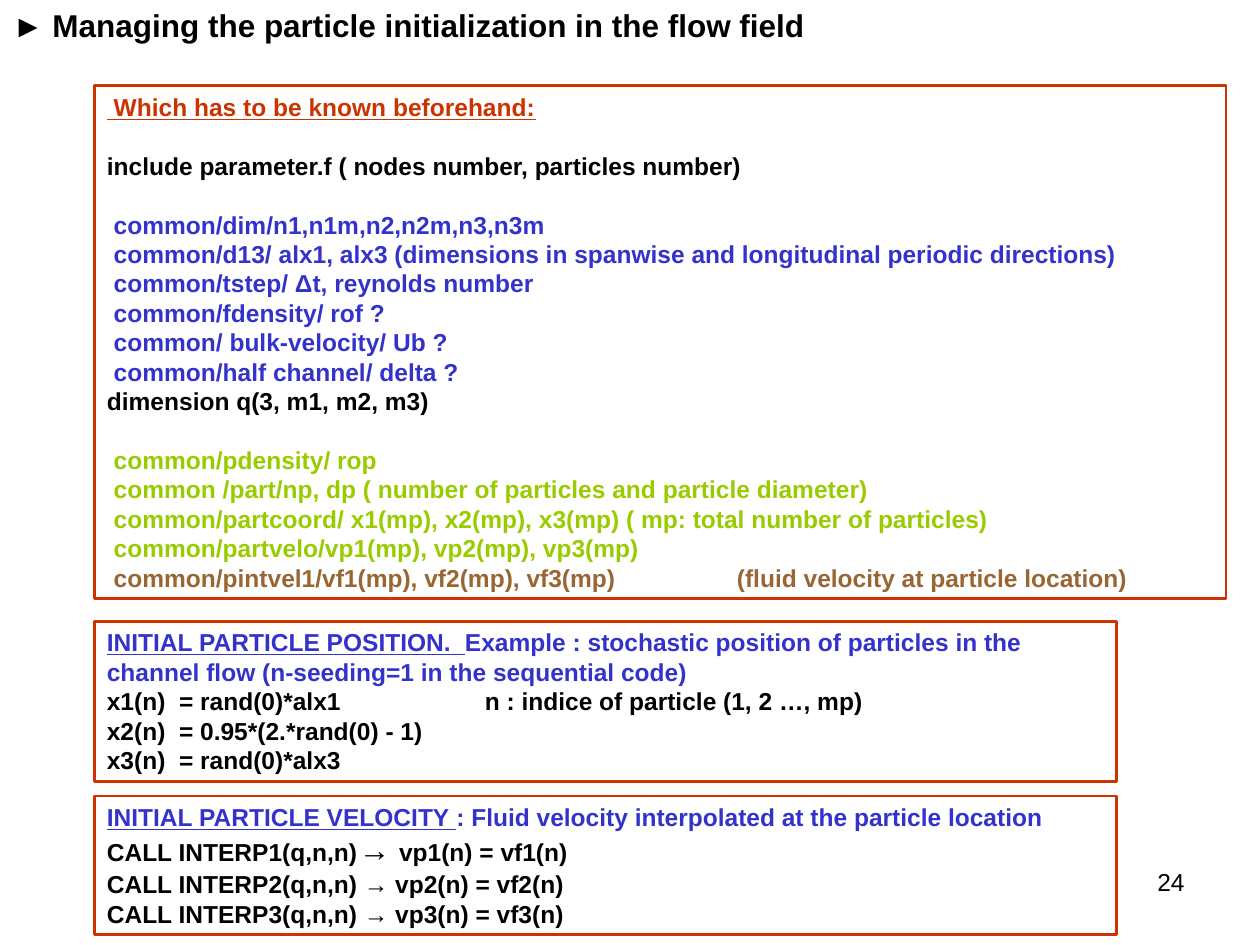
import pptx
import pptx.util
import pptx.dml.color
import pptx.enum.shapes
import pptx.enum.text
import pptx.oxml.ns
from lxml import etree

Pt = pptx.util.Pt
ALIGN = pptx.enum.text.PP_ALIGN
RED, BLUE, GREEN, BROWN, BLACK = "CC3300", "3333CC", "99CC00", "996633", "000000"
LINE = 16.8  # height of a text line


def color(code):
    return pptx.dml.color.RGBColor.from_string(code)


def write(para, text, size=14, tint=BLACK, bold=True, under=False):
    run = para.add_run()
    run.text = text
    font = run.font
    font.name, font.size, font.bold, font.underline = "Arial", Pt(size), bold, under
    font.color.rgb = color(tint)


def set_tabs(para):
    """Put a left tab stop at each inch."""
    qn = pptx.oxml.ns.qn
    stops = etree.SubElement(para._p.get_or_add_pPr(), qn("a:tabLst"))
    for inch in range(1, 8):
        etree.SubElement(stops, qn("a:tab"), pos=str(Pt(72 * inch)), algn="l")


def add_line(frame, first=False, gap=0, high=LINE):
    para = frame.paragraphs[0] if first else frame.add_paragraph()
    para.alignment = ALIGN.LEFT
    para.line_spacing = Pt(high)
    para.space_before = Pt(gap)
    set_tabs(para)
    return para


def add_frame(slide, box):
    """Draw a red outlined box and return its text frame."""
    rect = slide.shapes.add_shape(
        pptx.enum.shapes.MSO_SHAPE.RECTANGLE, *map(Pt, box))
    rect.shadow.inherit = False
    rect.fill.background()
    rect.line.color.rgb = color(RED)
    rect.line.width = Pt(1.5)
    frame = rect.text_frame
    frame.word_wrap = True
    frame.vertical_anchor = pptx.enum.text.MSO_ANCHOR.TOP
    return frame


def add_title(slide, box):
    title = slide.shapes.title
    title.left, title.top, title.width, title.height = map(Pt, box)
    frame = title.text_frame
    frame.word_wrap = False
    frame.auto_size = pptx.enum.text.MSO_AUTO_SIZE.NONE
    frame.vertical_anchor = pptx.enum.text.MSO_ANCHOR.TOP
    para = frame.paragraphs[0]
    para.alignment = ALIGN.LEFT
    write(para, "►", size=18, bold=False)
    write(para, " Managing the particle initialization in the flow field", size=18)


def add_inputs(slide, box):
    frame = add_frame(slide, box)
    write(add_line(frame, first=True), " Which has to be known beforehand:",
          tint=RED, under=True)
    # Each group: gap above, colour, lines
    groups = [
        (LINE, BLACK, ["include parameter.f ( nodes number, particles number)"]),
        (LINE, BLUE, [
            " common/dim/n1,n1m,n2,n2m,n3,n3m",
            " common/d13/ alx1, alx3 (dimensions in spanwise and longitudinal periodic directions)",
            " common/tstep/ Δt, reynolds number",
            " common/fdensity/ rof ?",
            " common/ bulk-velocity/ Ub ?",
            " common/half channel/ delta ?"]),
        (0, BLACK, ["dimension q(3, m1, m2, m3)"]),
        (LINE, GREEN, [
            " common/pdensity/ rop",
            " common /part/np, dp ( number of particles and particle diameter)",
            " common/partcoord/ x1(mp), x2(mp), x3(mp) ( mp: total number of particles)",
            " common/partvelo/vp1(mp), vp2(mp), vp3(mp)"]),
        (0, BROWN, [
            " common/pintvel1/vf1(mp), vf2(mp), vf3(mp) \t(fluid velocity at particle location)"]),
    ]
    for gap, tint, lines in groups:
        for i, text in enumerate(lines):
            write(add_line(frame, gap=0 if i else gap), text, tint=tint)


def add_head(frame, label, text):
    head = add_line(frame, first=True)
    write(head, label, tint=BLUE, under=True)
    write(head, text, tint=BLUE)


def add_start(slide, box):
    frame = add_frame(slide, box)
    add_head(frame, "INITIAL PARTICLE POSITION.  ",
             "Example : stochastic position of particles in the channel flow "
             "(n-seeding=1 in the sequential code)")
    for text in ("x1(n)  = rand(0)*alx1 \t\tn : indice of particle (1, 2 …, mp)",
                 "x2(n)  = 0.95*(2.*rand(0) - 1)",
                 "x3(n)  = rand(0)*alx3"):
        write(add_line(frame), text)


def add_speed(slide, box):
    frame = add_frame(slide, box)
    add_head(frame, "INITIAL PARTICLE VELOCITY ",
             ": Fluid velocity interpolated at the particle location")
    # The first call has a larger arrow
    call = add_line(frame, high=20.6)
    write(call, "CALL INTERP1(q,n,n)")
    write(call, "\t→ ", size=18)
    write(call, "vp1(n) = vf1(n)")
    for n in (2, 3):
        write(add_line(frame, high=17.4),
              f"CALL INTERP{n}(q,n,n) → vp{n}(n) = vf{n}(n)")


def add_number(slide, box):
    frame = slide.shapes.add_textbox(*map(Pt, box)).text_frame
    frame.word_wrap = True
    para = frame.paragraphs[0]
    para.alignment = ALIGN.RIGHT
    write(para, "24", bold=False)


def main():
    deck = pptx.Presentation()
    deck.slide_width, deck.slide_height = Pt(720), Pt(540)
    slide = deck.slides.add_slide(deck.slide_layouts[5])
    add_title(slide, (0, 0, 467.3, 28.8))
    add_inputs(slide, (54, 49, 646.5, 293))
    add_start(slide, (54, 355, 584, 91.5))
    add_speed(slide, (54, 455, 584, 79.2))
    add_number(slide, (516.2, 491.8, 167.8, 37.4))
    deck.save("out.pptx")


if __name__ == "__main__":
    main()
